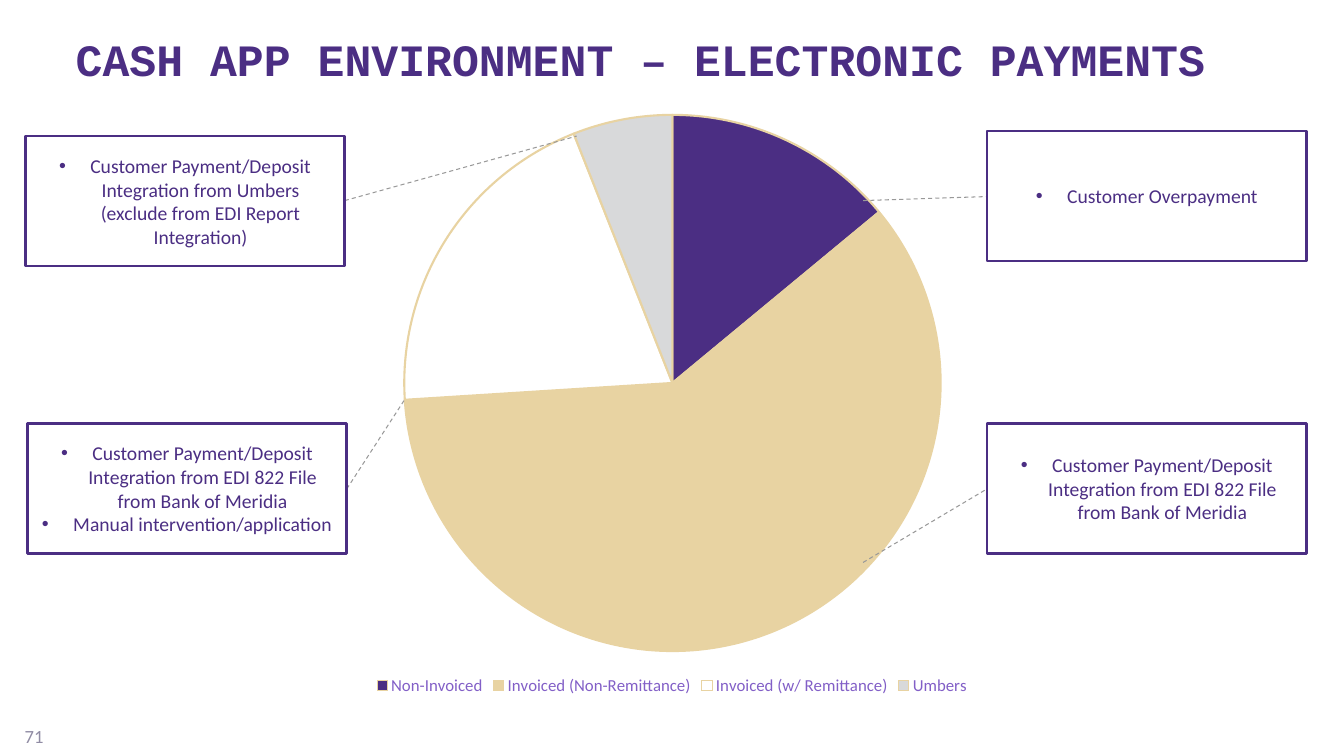
from dataclasses import dataclass
from lxml import etree
from pptx import Presentation
from pptx.chart import data as cd
from pptx.dml import color as col
from pptx.enum import chart as ec, dml, shapes, text
from pptx.oxml import ns
from pptx.util import Inches, Pt

TITLE = "CASH APP ENVIRONMENT – ELECTRONIC PAYMENTS"
PAGE = "71"
DEPOSIT = "Customer Payment/Deposit Integration from "
BANK = DEPOSIT + "EDI 822 File from Bank of Meridia"
SHARES = [
    ("Non-Invoiced", 14, "4B2E83"),
    ("Invoiced (Non-Remittance)", 60, "E8D3A2"),
    ("Invoiced (w/ Remittance)", 20, "FFFFFF"),
    ("Umbers", 6, "D8D9DA"),
]
NOTES = [
    ((0.25, 1.35), [DEPOSIT + "Umbers (exclude from EDI Report Integration)"]),
    ((9.79, 4.2), [BANK]),
    ((0.27, 4.2), [BANK, "Manual intervention/application"]),
    ((9.79, 1.3), ["Customer Overpayment"]),
]
LEADS = [
    ((3.44, 4.85), (4.01, 3.97)),
    ((3.42, 1.99), (5.72, 1.35)),
    ((8.56, 5.58), (9.79, 4.85)),
    ((8.56, 1.99), (9.79, 1.95)),
]
NOTE_SIZE = (3.17, 1.29)
CHART = (2.22, 1.01, 8.89, 5.93)
PIE = (4.01, 1.14, 5.32, 5.32)


@dataclass(frozen=True)
class Theme:
    ink: str = "4B2E83"
    gold: str = "E8D3A2"
    key: str = "825FC7"
    lead: str = "999999"
    page: str = "908CA4"
    paper: str = "FFFFFF"
    head: str = "Courier New"
    body: str = "Calibri"
    big: float = 32
    note: float = 14
    small: float = 12
    num: float = 13.3


T = Theme()


def rgb(code):
    return col.RGBColor.from_string(code)


def inch(*vals):
    return [Inches(v) for v in vals]


def style(font, name, size, color, bold=False):
    font.name, font.size, font.bold = name, Pt(size), bold
    font.color.rgb = rgb(color)


def stroke(line, color, width):
    line.color.rgb, line.width = rgb(color), Pt(width)


def add_title(slide):
    box = slide.shapes.title
    box.left, box.top, box.width, box.height = inch(0.65, 0.27, 11.92, 0.63)
    frame = box.text_frame
    frame.text = TITLE
    frame.vertical_anchor = text.MSO_ANCHOR.MIDDLE
    frame.auto_size = text.MSO_AUTO_SIZE.NONE
    para = frame.paragraphs[0]
    para.alignment = text.PP_ALIGN.LEFT
    style(para.font, T.head, T.big, T.ink, True)


def add_page(slide):
    frame = slide.shapes.add_textbox(*inch(0, 7.1, 0.53, 0.4)).text_frame
    frame.text, frame.word_wrap = PAGE, True
    frame.vertical_anchor = text.MSO_ANCHOR.MIDDLE
    para = frame.paragraphs[0]
    para.alignment = text.PP_ALIGN.RIGHT
    style(para.font, T.body, T.num, T.page)


def place_pie(chart):
    area = chart._chartSpace.find(".//" + ns.qn("c:plotArea"))
    for old in area.findall(ns.qn("c:layout")):
        area.remove(old)
    layout = etree.Element(ns.qn("c:layout"))
    man = etree.SubElement(layout, ns.qn("c:manualLayout"))
    left, top, wide, high = CHART
    x, y, w, h = PIE
    parts = [("layoutTarget", "inner"), ("xMode", "edge"), ("yMode", "edge"),
             ("x", (x - left) / wide), ("y", (y - top) / high),
             ("w", w / wide), ("h", h / high)]
    for tag, val in parts:
        etree.SubElement(man, ns.qn("c:" + tag), val=str(val))
    area.insert(0, layout)


def add_pie(slide):
    data = cd.CategoryChartData()
    data.categories = [name for name, _, _ in SHARES]
    data.add_series("Series 1", [val for _, val, _ in SHARES])
    chart = slide.shapes.add_chart(ec.XL_CHART_TYPE.PIE, *inch(*CHART), data).chart
    style(chart.font, T.body, 10, T.ink)
    chart.has_title = False
    chart.has_legend = True
    chart.legend.position = ec.XL_LEGEND_POSITION.BOTTOM
    chart.legend.include_in_layout = False
    style(chart.legend.font, T.body, T.small, T.key)
    plot = chart.plots[0]
    plot.vary_by_categories = True
    for i, (_, _, color) in enumerate(SHARES):
        form = plot.series[0].points[i].format
        form.fill.solid()
        form.fill.fore_color.rgb = rgb(color)
        stroke(form.line, T.gold, 1.5)
    place_pie(chart)


def add_lead(slide, start, end):
    line = slide.shapes.add_connector(
        shapes.MSO_CONNECTOR.STRAIGHT, *inch(*start, *end))
    stroke(line.line, T.lead, 0.75)
    line.line.dash_style = dml.MSO_LINE.DASH
    etree.SubElement(line._element.spPr, ns.qn("a:effectLst"))


def add_note(slide, spot, items):
    box = slide.shapes.add_shape(
        shapes.MSO_SHAPE.RECTANGLE, *inch(*spot, *NOTE_SIZE))
    box.shadow.inherit = False
    box.fill.solid()
    box.fill.fore_color.rgb = rgb(T.paper)
    stroke(box.line, T.ink, 2)
    frame = box.text_frame
    frame.word_wrap = True
    frame.vertical_anchor = text.MSO_ANCHOR.MIDDLE
    frame.text = "\n".join(items)
    for para in frame.paragraphs:
        para.alignment = text.PP_ALIGN.CENTER
        prop = para._p.get_or_add_pPr()
        prop.set("marL", str(Inches(0.31)))
        prop.set("indent", str(-Inches(0.31)))
        etree.SubElement(prop, ns.qn("a:buFont"), typeface="Arial")
        etree.SubElement(prop, ns.qn("a:buChar"), char="•")
        style(para.font, T.body, T.note, T.ink)


def main():
    """Build the electronic payments slide."""
    deck = Presentation()
    deck.slide_width, deck.slide_height = inch(13.33, 7.5)
    slide = deck.slides.add_slide(deck.slide_layouts[5])
    add_page(slide)
    add_title(slide)
    add_pie(slide)
    for start, end in LEADS:
        add_lead(slide, start, end)
    for spot, items in NOTES:
        add_note(slide, spot, items)
    deck.save("out.pptx")


if __name__ == "__main__":
    main()
